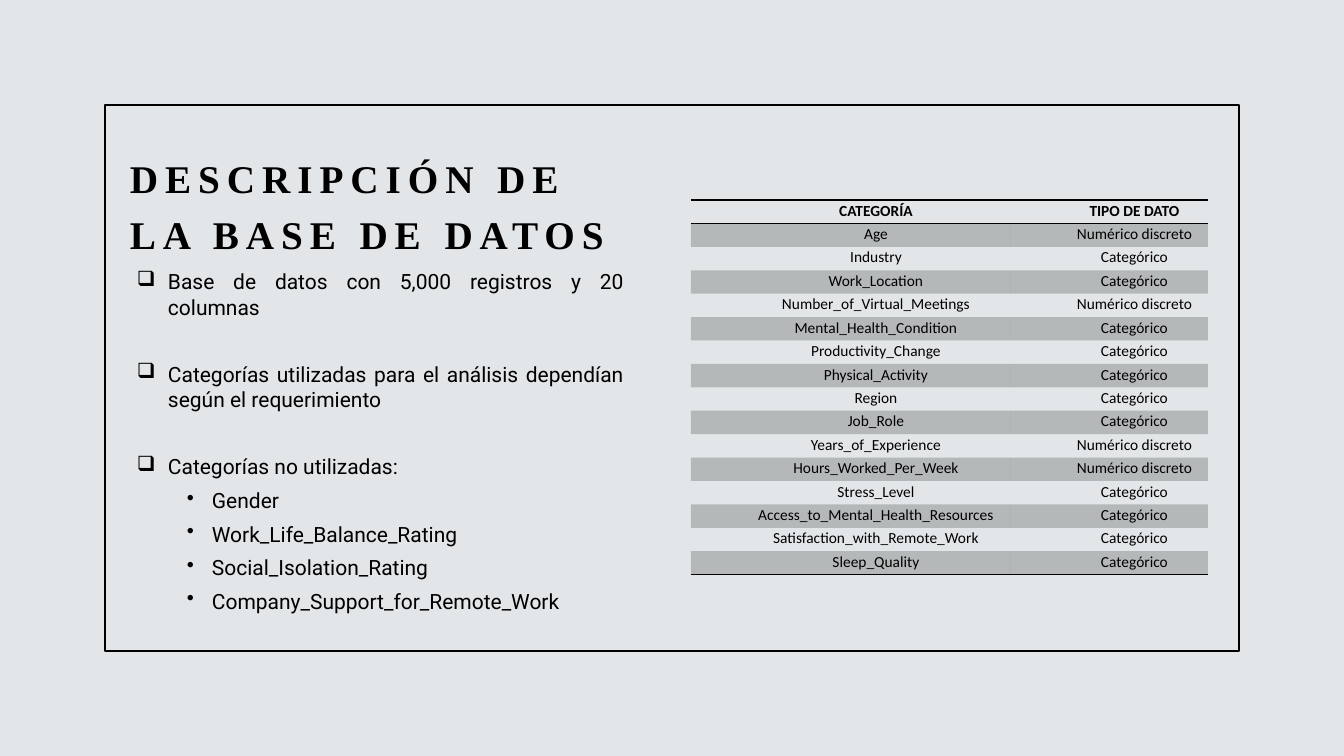
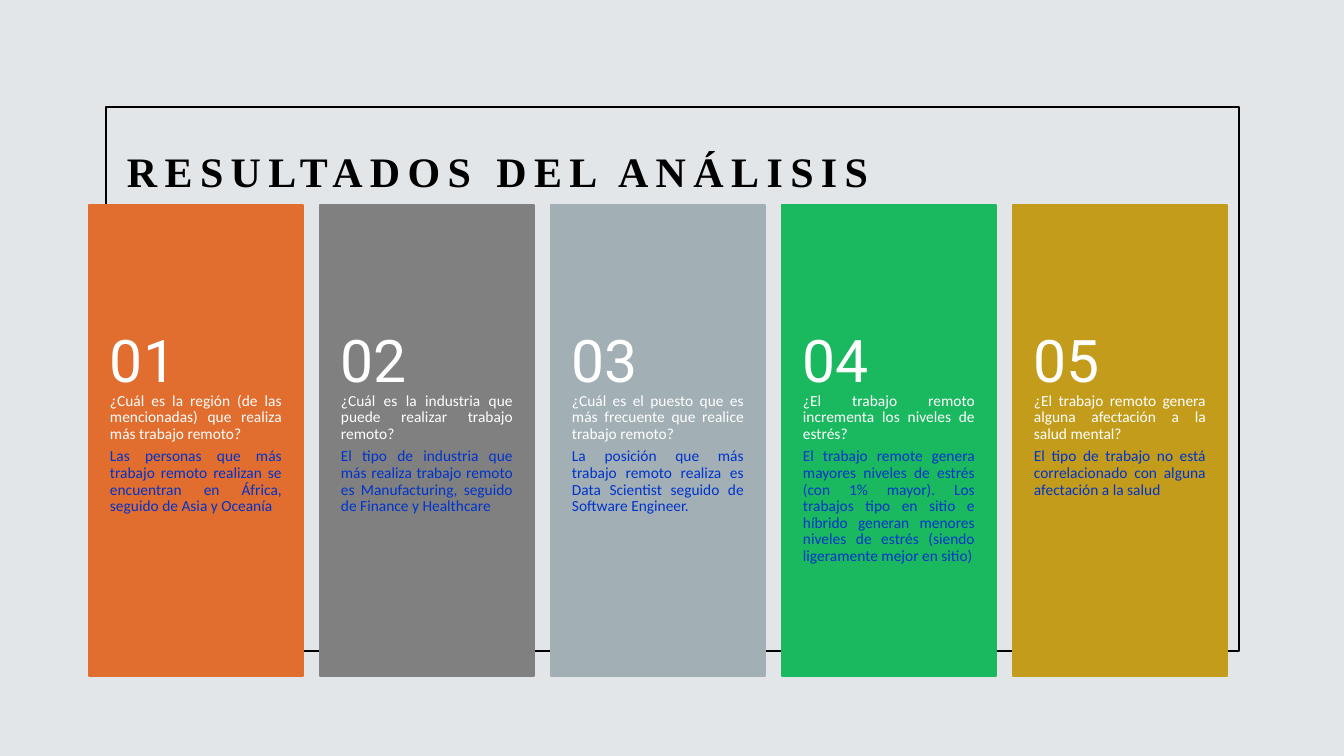
from lxml import etree
from pptx import Presentation
from pptx.dml.color import RGBColor
from pptx.enum.shapes import MSO_SHAPE
from pptx.enum.text import MSO_ANCHOR, PP_ALIGN
from pptx.oxml.ns import qn
from pptx.util import Emu, Pt

RECTANGLE = MSO_SHAPE.RECTANGLE
TOP = MSO_ANCHOR.TOP
MIDDLE = MSO_ANCHOR.MIDDLE
LEFT = PP_ALIGN.LEFT
CENTER = PP_ALIGN.CENTER
JUSTIFY = PP_ALIGN.JUSTIFY

SLIDE_WIDTH, SLIDE_HEIGHT = 1344, 756
EMU_PER_PX = 12192000 / SLIDE_WIDTH
COLORS = {
    "background": "E2E6E8",
    "ink": "000000",
    "white": "FFFFFF",
    "answer": "0033CC",
    "orange": "E16D2F",
    "gray": "808080",
    "silver": "A2AFB5",
    "green": "1AB95F",
    "gold": "C39C1B",
}
TITLE_FONT, BODY_FONT, SMALL_FONT = "Times New Roman", "Roboto", "Calibri"
NO_TABLE_STYLE = "{2D5ABB26-0587-4C30-8999-92F81FD0307C}"

NUMERIC, CATEGORICAL = "Numérico discreto", "Categórico"
TABLE_ROWS = [
    ("CATEGORÍA", "TIPO DE DATO"),
    ("Age", NUMERIC),
    ("Industry", CATEGORICAL),
    ("Work_Location", CATEGORICAL),
    ("Number_of_Virtual_Meetings", NUMERIC),
    ("Mental_Health_Condition", CATEGORICAL),
    ("Productivity_Change", CATEGORICAL),
    ("Physical_Activity", CATEGORICAL),
    ("Region", CATEGORICAL),
    ("Job_Role", CATEGORICAL),
    ("Years_of_Experience", NUMERIC),
    ("Hours_Worked_Per_Week", NUMERIC),
    ("Stress_Level", CATEGORICAL),
    ("Access_to_Mental_Health_Resources", CATEGORICAL),
    ("Satisfaction_with_Remote_Work", CATEGORICAL),
    ("Sleep_Quality", CATEGORICAL),
]
MAIN_POINTS = [
    "Base de datos con 5,000 registros y 20 columnas",
    "Categorías utilizadas para el análisis dependían según el requerimiento",
    "Categorías no utilizadas:",
]
UNUSED_CATEGORIES = [
    "Gender",
    "Work_Life_Balance_Rating",
    "Social_Isolation_Rating",
    "Company_Support_for_Remote_Work",
]
RESULTS = [
    ("orange",
     "¿Cuál es la región (de las mencionadas) que realiza más trabajo remoto?",
     "Las personas que más trabajo remoto realizan se encuentran en África, "
     "seguido de Asia y Oceanía"),
    ("gray",
     "¿Cuál es la industria que puede realizar trabajo remoto?",
     "El tipo de industria que más realiza trabajo remoto es Manufacturing, "
     "seguido de Finance y Healthcare"),
    ("silver",
     "¿Cuál es el puesto que es más frecuente que realice trabajo remoto?",
     "La posición que más trabajo remoto realiza es Data Scientist seguido de "
     "Software Engineer."),
    ("green",
     "¿El trabajo remoto incrementa los niveles de estrés?",
     "El trabajo remote genera mayores niveles de estrés (con 1% mayor). Los "
     "trabajos tipo en sitio e híbrido generan menores niveles de estrés "
     "(siendo ligeramente mejor en sitio)"),
    ("gold",
     "¿El trabajo remoto genera alguna afectación a la salud mental?",
     "El tipo de trabajo no está correlacionado con alguna afectación a la salud"),
]


def px(length):
    return Emu(round(length * EMU_PER_PX))


def rgb(name):
    return RGBColor.from_string(COLORS[name])


def add_slide(presentation):
    slide = presentation.slides.add_slide(presentation.slide_layouts[6])
    slide.background.fill.solid()
    slide.background.fill.fore_color.rgb = rgb("background")
    return slide


def add_rectangle(slide, box, line, fill=None):
    shape = slide.shapes.add_shape(RECTANGLE, *map(px, box))
    shape.shadow.inherit = False
    if fill:
        shape.fill.solid()
        shape.fill.fore_color.rgb = rgb(fill)
    else:
        shape.fill.background()
    shape.line.color.rgb = rgb(line)
    shape.line.width = Pt(1)


def add_text_frame(slide, box, anchor=TOP, insets=(10, 5, 10, 5)):
    frame = slide.shapes.add_textbox(*map(px, box)).text_frame
    frame.word_wrap = True
    frame.vertical_anchor = anchor
    (frame.margin_left, frame.margin_top,
     frame.margin_right, frame.margin_bottom) = map(px, insets)
    return frame


def set_bullet(paragraph, character, indent, hanging):
    properties = paragraph._p.get_or_add_pPr()
    properties.set("marL", str(px(indent)))
    properties.set("indent", str(-px(hanging)))
    etree.SubElement(properties, qn("a:buChar")).set("char", character)


def write(frame, text, *, size, font, color="ink", bold=False, align=LEFT,
          line_spacing=1.0, before=0, after=0, tracking=0, bullet=None, level=0):
    paragraph = frame.paragraphs[0]
    if paragraph.runs:
        paragraph = frame.add_paragraph()
    if bullet:
        set_bullet(paragraph, *bullet)
    paragraph.level = level
    paragraph.alignment = align
    paragraph.line_spacing = line_spacing
    paragraph.space_before = Pt(before)
    paragraph.space_after = Pt(after)
    run = paragraph.add_run()
    run.text = text
    run.font.size = Pt(size)
    run.font.name = font
    run.font.bold = bold
    run.font.color.rgb = rgb(color)
    if tracking:
        run._r.get_or_add_rPr().set("spc", str(round(tracking * 100)))


def add_title(slide, text, box, size, tracking):
    write(add_text_frame(slide, box, MIDDLE), text, size=size, font=TITLE_FONT,
          bold=True, line_spacing=1.2, tracking=tracking)


def add_border(cell, side):
    line = etree.SubElement(cell._tc.get_or_add_tcPr(), qn(f"a:{side}"), w=str(Pt(1)))
    fill = etree.SubElement(line, qn("a:solidFill"))
    etree.SubElement(fill, qn("a:srgbClr"), val=COLORS["ink"])


def fill_cell(cell, shaded):
    if not shaded:
        cell.fill.background()
        return
    cell.fill.solid()
    cell.fill.fore_color.rgb = rgb("ink")
    color = cell._tc.tcPr.find(f".//{qn('a:solidFill')}[last()]/{qn('a:srgbClr')}")
    if cell._tc.tcPr.find(qn("a:solidFill")) is not None:
        color = cell._tc.tcPr.find(qn("a:solidFill")).find(qn("a:srgbClr"))
    etree.SubElement(color, qn("a:alpha"), val="20000")


def add_data_table(slide, rows, left, top, widths, height):
    table = slide.shapes.add_table(
        len(rows), len(widths), px(left), px(top), px(sum(widths)), px(height)).table
    table._tbl.tblPr.find(qn("a:tableStyleId")).text = NO_TABLE_STYLE
    table.first_row = table.horz_banding = False
    for column, width in zip(table.columns, widths):
        column.width = px(width)
    for index, values in enumerate(rows):
        table.rows[index].height = px(height / len(rows))
        for cell, text in zip(table.rows[index].cells, values):
            cell.margin_left, cell.margin_right = px(58), px(8)
            cell.margin_top = cell.margin_bottom = 0
            write(cell.text_frame, text, size=11, font=SMALL_FONT,
                  bold=index == 0, align=CENTER, line_spacing=1.07)
            if index == 0:
                add_border(cell, "lnT")
            if index in (0, len(rows) - 1):
                add_border(cell, "lnB")
            fill_cell(cell, shaded=index % 2 == 1)


def add_result_card(slide, left, number, color, question, answer):
    width = 214
    add_rectangle(slide, (left, 205, width, 471), color, color)
    body = add_text_frame(slide, (left, 393, width, 282), insets=(21, 0, 21, 36))
    for text, text_color in ((question, "white"), (answer, "answer")):
        write(body, text, size=11, font=SMALL_FONT, color=text_color,
              align=JUSTIFY, line_spacing=0.9, after=4)
    heading = add_text_frame(slide, (left, 312, width, 103), MIDDLE, (21, 18, 21, 18))
    write(heading, f"{number:02}", size=42, font=BODY_FONT, color="white",
          line_spacing=0.9)


def build_database_slide(presentation):
    slide = add_slide(presentation)
    add_rectangle(slide, (105, 105, 1134, 546), "ink")
    add_title(slide, "DESCRIPCIÓN DE LA BASE DE DATOS", (120, 105, 502, 192), 28, 5)
    add_data_table(slide, TABLE_ROWS, 691, 200, (320, 197), 375)
    frame = add_text_frame(slide, (120, 264, 514, 357))
    for index, text in enumerate(MAIN_POINTS):
        write(frame, text, size=15, font=BODY_FONT, align=JUSTIFY, after=6,
              before=24 if index else 0, bullet=("❑", 38, 31))
    for text in UNUSED_CATEGORIES:
        write(frame, text, size=15, font=BODY_FONT, align=JUSTIFY, after=6,
              bullet=("•", 82, 25), level=1)


def build_results_slide(presentation):
    slide = add_slide(presentation)
    add_rectangle(slide, (106, 107, 1133, 544), "ink")
    add_title(slide, "RESULTADOS DEL ANÁLISIS", (117, 59, 866, 213), 30, 5.3)
    for index, result in enumerate(RESULTS):
        add_result_card(slide, 89 + 231 * index, index + 1, *result)


def main():
    presentation = Presentation()
    presentation.slide_width = px(SLIDE_WIDTH)
    presentation.slide_height = px(SLIDE_HEIGHT)
    build_database_slide(presentation)
    build_results_slide(presentation)
    presentation.save("out.pptx")


if __name__ == "__main__":
    main()
